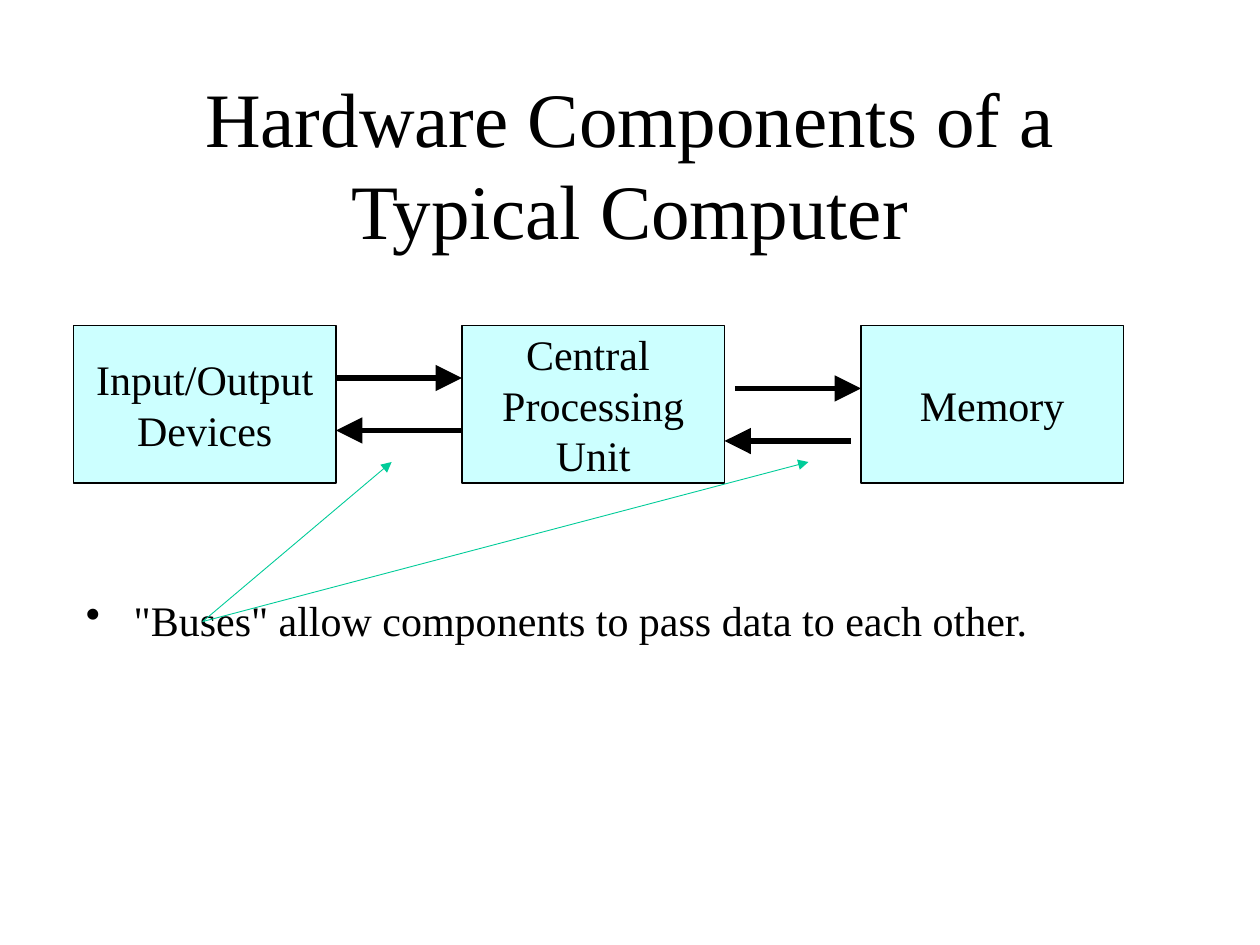
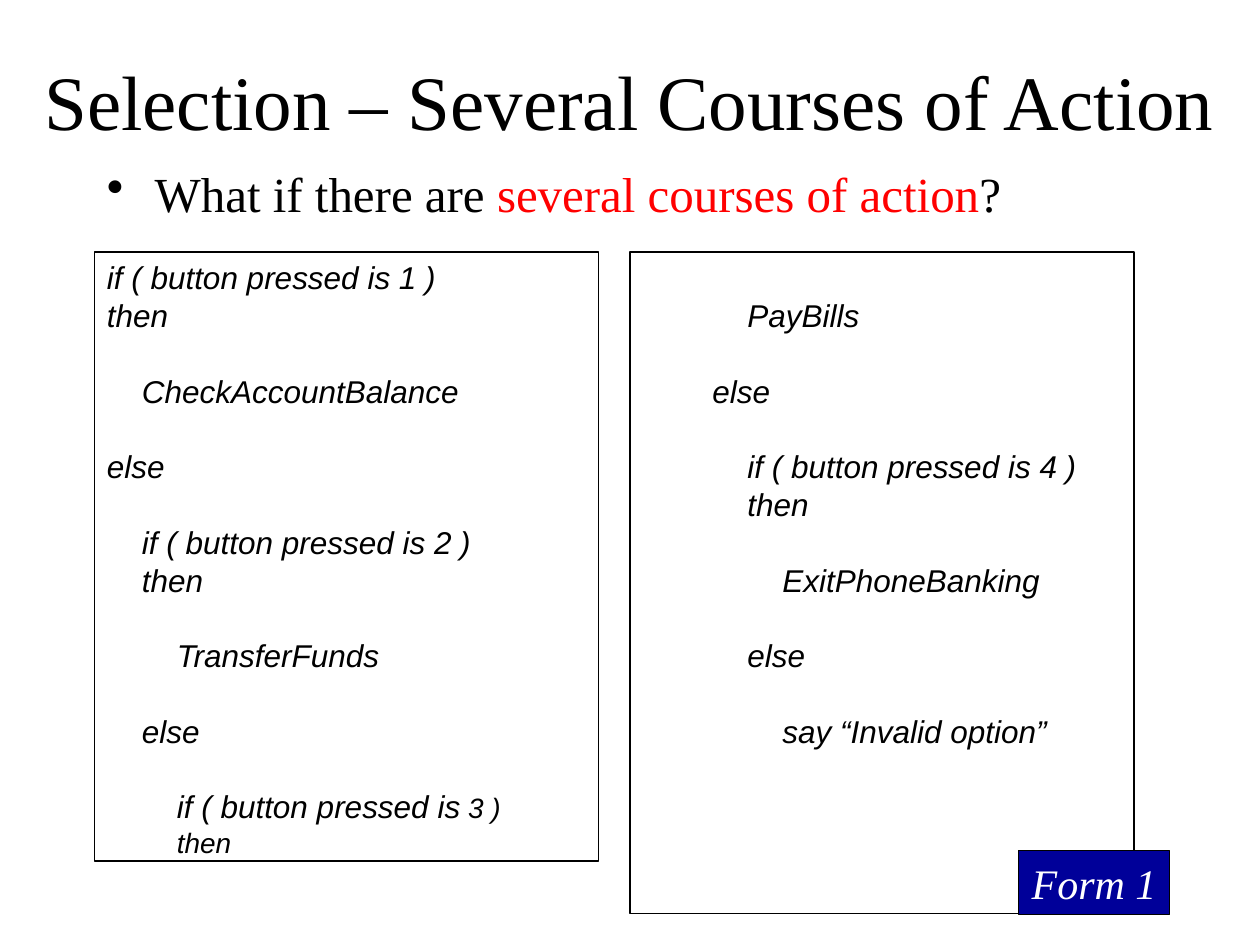
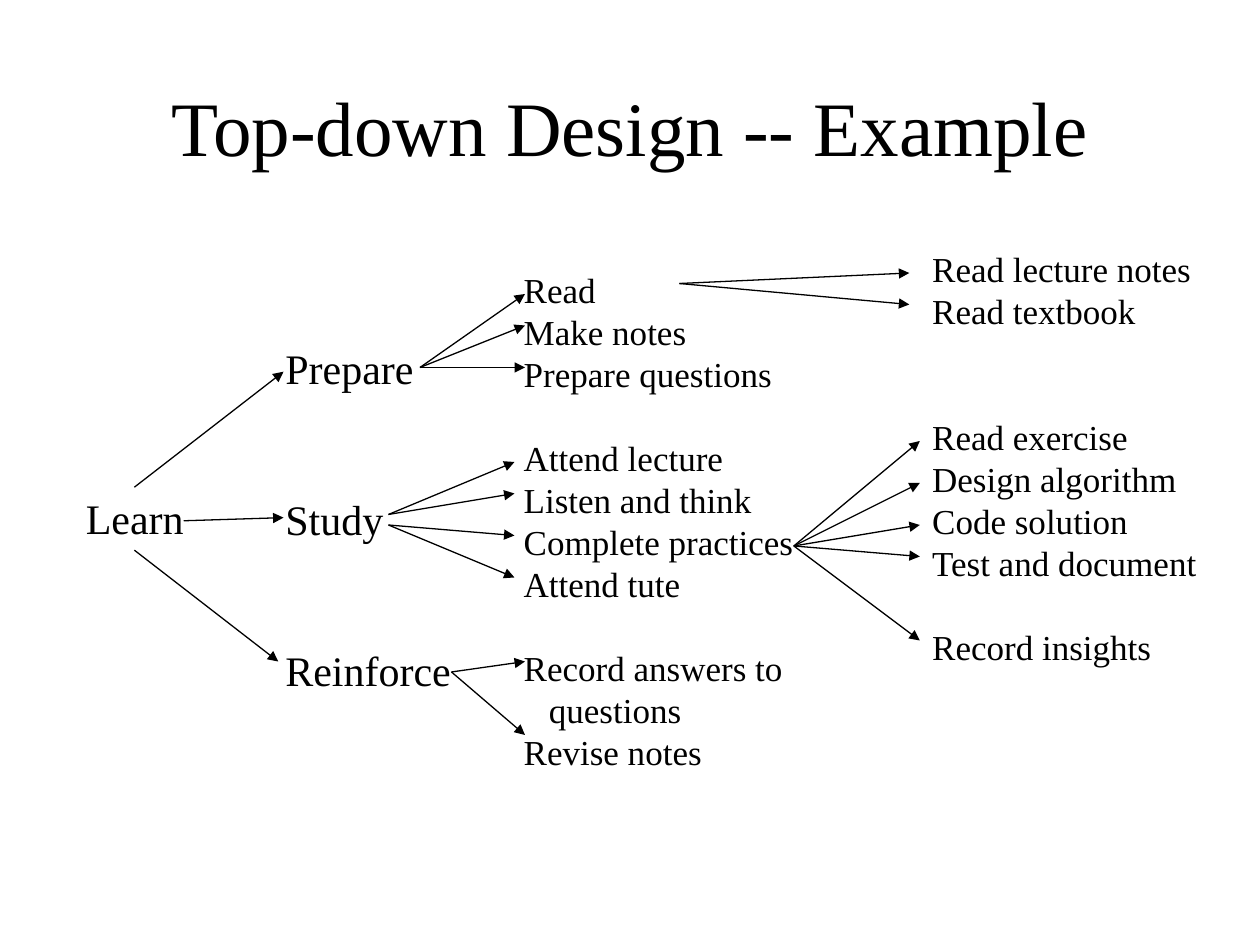
from dataclasses import dataclass, replace
from typing import NamedTuple, Optional

from lxml.etree import SubElement
from pptx import Presentation
from pptx.dml.color import RGBColor
from pptx.enum.shapes import MSO_CONNECTOR, MSO_SHAPE
from pptx.enum.text import MSO_ANCHOR as Anchor, MSO_AUTO_SIZE as AutoSize, PP_ALIGN as Align
from pptx.oxml.ns import qn
from pptx.shapes.autoshape import Shape
from pptx.slide import Slide
from pptx.util import Inches, Pt

BLACK = RGBColor(0x00, 0x00, 0x00)
WHITE = RGBColor(0xFF, 0xFF, 0xFF)
RED = RGBColor(0xFF, 0x00, 0x00)
NAVY = RGBColor(0x00, 0x00, 0x99)
PALE_CYAN = RGBColor(0xCC, 0xFF, 0xFF)
GREEN = RGBColor(0x00, 0xCC, 0x99)

SERIF = "Times New Roman"
SANS = "Arial"

SLIDE_WIDTH = Inches(10)
SLIDE_HEIGHT = Inches(7.5)
COLUMN = SLIDE_WIDTH / 120
ROW = SLIDE_HEIGHT / 90

LEADING = 1.2
LEVEL_INDENT = Pt(20)
BULLET_INDENT = Inches(0.38)
LIST_INDENT = Inches(0.2)
INSET = Inches(0.05)


class Point(NamedTuple):
    column: float
    row: float


class Area(NamedTuple):
    column: float
    row: float
    columns: float
    rows: float

    def lengths(self) -> tuple[int, int, int, int]:
        return (round(self.column * COLUMN), round(self.row * ROW),
                round(self.columns * COLUMN), round(self.rows * ROW))


class Line(NamedTuple):
    text: str
    gap: int = 0
    level: int = 0


class Branch(NamedTuple):
    start: Point
    ends: tuple[Point, ...]


@dataclass(frozen=True)
class Style:
    size: float
    font: str = SERIF
    color: RGBColor = BLACK
    italic: bool = False
    align: Align = Align.LEFT
    anchor: Anchor = Anchor.TOP
    hanging: int = 0
    bullet: bool = False
    wrap: bool = True


TITLE = Style(44, align=Align.CENTER, anchor=Anchor.MIDDLE)
COMPONENT = Style(24, align=Align.CENTER, anchor=Anchor.MIDDLE)
BULLET = Style(24, hanging=BULLET_INDENT, bullet=True)
QUESTION = replace(BULLET, size=28)
CODE = Style(18, font=SANS, italic=True)
SMALL_CODE = replace(CODE, size=16)
FORM_TAG = replace(COMPONENT, color=WHITE, italic=True, wrap=False)
STAGE = Style(24)
TASK = Style(20, hanging=LIST_INDENT)


def format_run(run, style: Style) -> None:
    font = run.font
    font.name = style.font
    font.size = Pt(style.size)
    font.italic = style.italic
    font.color.rgb = style.color


def append_run(paragraph, text: str, style: Style) -> None:
    run = paragraph.add_run()
    run.text = text
    format_run(run, style)


def write(shape: Shape, lines: list[Line], style: Style) -> None:
    frame = shape.text_frame
    frame.text = "\n".join(line.text for line in lines)
    frame.word_wrap = style.wrap
    frame.vertical_anchor = style.anchor
    if not style.wrap:
        frame.auto_size = AutoSize.SHAPE_TO_FIT_TEXT
    line_height = style.size * LEADING
    frame.margin_top = INSET + Pt(lines[0].gap * line_height)
    for index, (paragraph, line) in enumerate(zip(frame.paragraphs, lines)):
        paragraph.alignment = style.align
        if index and line.gap:
            paragraph.space_before = Pt(line.gap * line_height)
        properties = paragraph._p.get_or_add_pPr()
        properties.set("marL", str(style.hanging + line.level * LEVEL_INDENT))
        properties.set("indent", str(-style.hanging))
        if style.bullet:
            SubElement(properties, qn("a:buChar"), char="•")
        else:
            paragraph.line_spacing = Pt(line_height)
        for run in paragraph.runs:
            format_run(run, style)


def add_text(slide: Slide, area: Area, lines: list[Line], style: Style) -> Shape:
    box = slide.shapes.add_textbox(*area.lengths())
    write(box, lines, style)
    return box


def add_panel(slide: Slide, area: Area, lines: list[Line], style: Style,
              fill: Optional[RGBColor] = None) -> Shape:
    panel = slide.shapes.add_shape(MSO_SHAPE.RECTANGLE, *area.lengths())
    panel.shadow.inherit = False
    if fill is None:
        panel.fill.background()
    else:
        panel.fill.solid()
        panel.fill.fore_color.rgb = fill
    panel.line.color.rgb = BLACK
    panel.line.width = Pt(0.75)
    write(panel, lines, style)
    return panel


def add_branch(slide: Slide, branch: Branch, color: RGBColor = BLACK,
               width: float = 0.75, head: str = "med") -> None:
    for end in branch.ends:
        arrow = slide.shapes.add_connector(
            MSO_CONNECTOR.STRAIGHT,
            round(branch.start.column * COLUMN), round(branch.start.row * ROW),
            round(end.column * COLUMN), round(end.row * ROW))
        arrow.line.color.rgb = color
        arrow.line.width = Pt(width)
        properties = arrow.element.spPr
        SubElement(properties.find(qn("a:ln")), qn("a:tailEnd"),
                   type="triangle", w=head, len=head)
        SubElement(properties, qn("a:effectLst"))


def add_titled_slide(deck, title: str, area: Area) -> Slide:
    slide = deck.slides.add_slide(deck.slide_layouts[6])
    add_text(slide, area, [Line(title)], TITLE)
    return slide


def fan(start: Point, column: float, *rows: float) -> Branch:
    return Branch(start, tuple(Point(column, row) for row in rows))


def build_hardware(deck) -> None:
    slide = add_titled_slide(deck, "Hardware Components of a Typical Computer", Area(9, 8, 102, 15))
    components = {
        7: ["Input/Output", "Devices"],
        44: ["Central ", "Processing", "Unit"],
        82: ["Memory"],
    }
    for column, names in components.items():
        add_panel(slide, Area(column, 31, 25, 15), [Line(name) for name in names],
                  COMPONENT, PALE_CYAN)
    for start, end_column in ((Point(32, 36), 44), (Point(70, 37), 82),
                              (Point(44, 41), 32), (Point(81, 42), 69)):
        add_branch(slide, fan(start, end_column, start.row), width=3, head="lg")
    add_text(slide, Area(7, 56, 101, 6),
             [Line('"Buses" allow components to pass data to each other.')], BULLET)
    add_branch(slide, Branch(Point(19.3, 59.2), (Point(37.3, 44), Point(77, 44))), GREEN, 0.5)


def build_selection(deck) -> None:
    slide = add_titled_slide(deck, "Selection – Several Courses of Action", Area(0, 4, 120, 11))
    question = add_text(slide, Area(9, 15, 102, 54), [Line("What if there are ")], QUESTION)
    question_text = question.text_frame.paragraphs[0]
    append_run(question_text, "several courses of action", replace(QUESTION, color=RED))
    append_run(question_text, "?", QUESTION)

    first_choices = add_panel(slide, Area(9, 24, 48, 58), [
        Line("if ( button pressed is 1 )"),
        Line("then"),
        Line("CheckAccountBalance", 1, 1),
        Line("else", 1),
        Line("if ( button pressed is 2 )", 1, 1),
        Line("then", 0, 1),
        Line("TransferFunds", 1, 2),
        Line("else", 1, 1),
        Line("if ( button pressed is", 1, 2),
        Line("then", 0, 2),
    ], CODE)
    third_test, third_then = first_choices.text_frame.paragraphs[-2:]
    append_run(third_test, " 3 )", SMALL_CODE)
    format_run(third_then.runs[0], SMALL_CODE)
    third_then.line_spacing = Pt(SMALL_CODE.size * LEADING)

    add_panel(slide, Area(60, 24, 48, 63), [
        Line("PayBills", 1, 3),
        Line("else", 1, 2),
        Line("if ( button pressed is 4 )", 1, 3),
        Line("then", 0, 3),
        Line("ExitPhoneBanking", 1, 4),
        Line("else", 1, 3),
        Line("say “Invalid option”", 1, 4),
    ], CODE)
    add_panel(slide, Area(97, 81, 14.4, 6.1), [Line("Form 1")], FORM_TAG, NAVY)


def build_design(deck) -> None:
    slide = add_titled_slide(deck, "Top-down Design -- Example", Area(9, 6, 102, 12))
    add_text(slide, Area(7, 46.35, 13, 6), [Line("Learn")], STAGE)
    add_text(slide, Area(26, 32, 20, 34.8),
             [Line("Prepare"), Line("Study", 2), Line("Reinforce", 2)], STAGE)
    add_text(slide, Area(48.7, 25, 30, 49.2), [
        Line("Read"),
        Line("Make notes"),
        Line("Prepare questions"),
        Line("Attend lecture", 1),
        Line("Listen and think"),
        Line("Complete practices"),
        Line("Attend tute"),
        Line("Record answers to questions", 1),
        Line("Revise notes"),
    ], TASK)
    add_text(slide, Area(87.6, 23, 30, 50), [
        Line("Read lecture notes"),
        Line("Read textbook"),
        Line("Read exercise", 2),
        Line("Design algorithm"),
        Line("Code solution"),
        Line("Test and document"),
        Line("Record insights", 1),
    ], TASK)
    for branch in (
        fan(Point(12.8, 46.4), 27, 35.4),
        fan(Point(17.5, 49.6), 27, 49.3),
        fan(Point(12.8, 52.4), 26.5, 63),
        fan(Point(40, 35), 50, 28, 31, 35),
        fan(Point(37, 49), 49, 44, 47),
        fan(Point(37, 50), 49, 51, 55),
        fan(Point(43, 64), 50, 63, 70),
        fan(Point(64.7, 27), 86.6, 26, 29),
        fan(Point(75.6, 52), 87.6, 42, 46, 50, 53, 61),
    ):
        add_branch(slide, branch)


def main() -> None:
    deck = Presentation()
    deck.slide_width = SLIDE_WIDTH
    deck.slide_height = SLIDE_HEIGHT
    build_hardware(deck)
    build_selection(deck)
    build_design(deck)
    deck.save("out.pptx")


if __name__ == "__main__":
    main()
